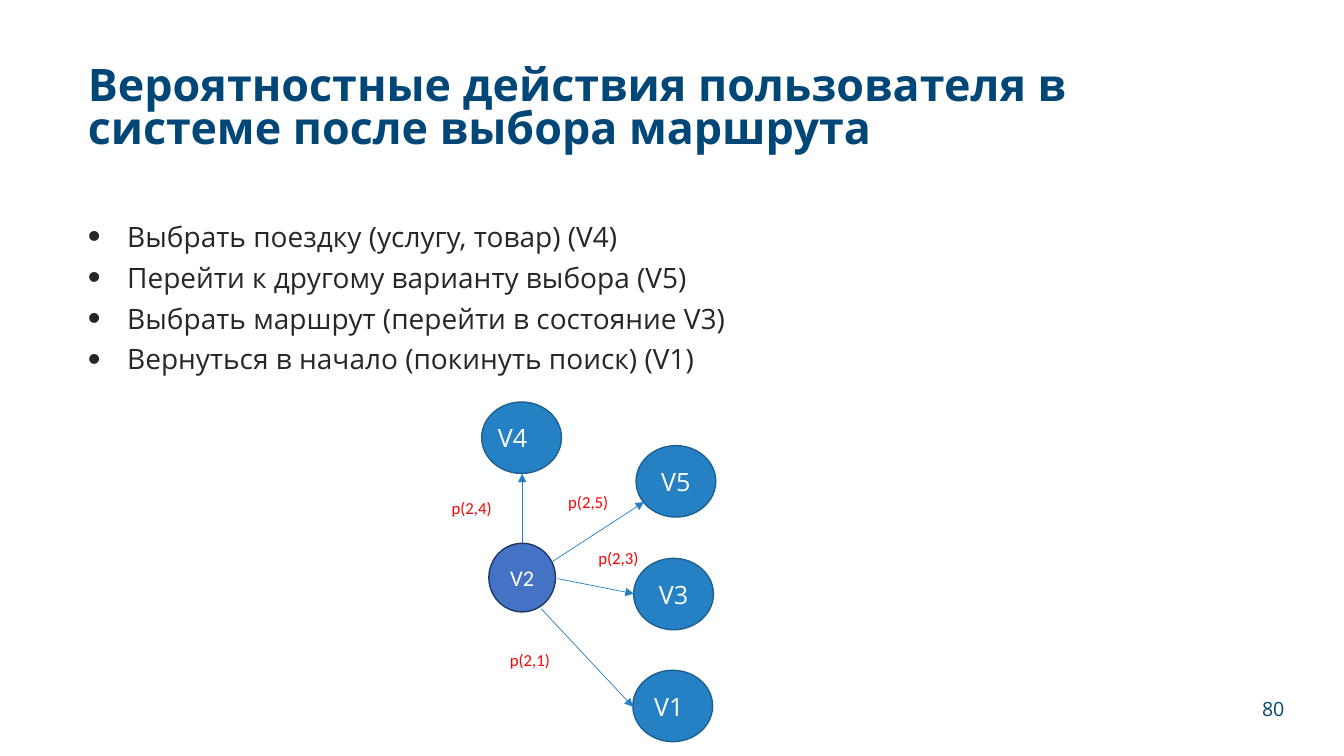
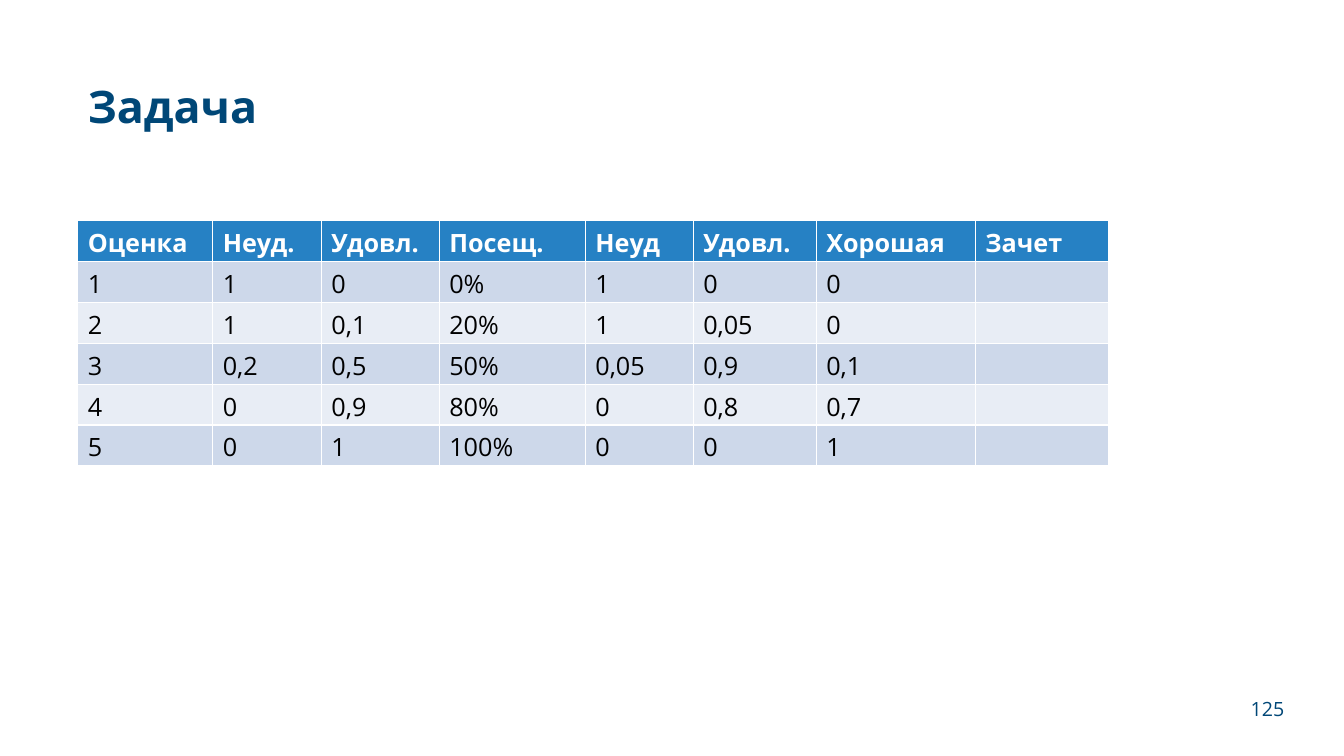
from lxml.etree import SubElement
from pptx import Presentation
from pptx.dml.color import RGBColor
from pptx.enum.shapes import MSO_CONNECTOR, MSO_SHAPE
from pptx.enum.text import MSO_ANCHOR, MSO_AUTO_SIZE, PP_ALIGN
from pptx.oxml.ns import qn
from pptx.util import Cm, Pt

NAVY, BLUE, DARK_BLUE = "004777", "2681C4", "1C5F91"
INDIGO, DARK_INDIGO = "4472C4", "1F3763"
WHITE, BLACK, GRAPHITE, RED = "FFFFFF", "000000", "262626", "FF0000"
BANDS = ("CDD8EA", "E8EDF5")
MAIN_FONT, GRAPH_FONT = "Open Sans", "Calibri"

TITLE_AREA = (1.96, 1.02, 26.01, 3.51)
BODY_AREA = (1.96, 5.56, 26.01, 11)
NUMBER_AREA = (30.61, 17.37, 2.01, 0.99)

ACTIONS = {
    "title": "Вероятностные действия пользователя в системе после выбора маршрута",
    "number": "80",
    "bullets": [
        "Выбрать поездку (услугу, товар) (V4)",
        "Перейти к другому варианту выбора (V5)",
        "Выбрать маршрут (перейти в состояние V3)",
        "Вернуться в начало (покинуть поиск) (V1)",
    ],
}
TARGET_SIZE = (2.01, 1.8)
# name, left, top, extra right inset of the name
TARGETS = [
    ("V4", 12.14, 10.13, 0.45),
    ("V5", 16.03, 11.23, 0),
    ("V3", 15.97, 14.07, 0),
    ("V1", 15.95, 16.89, 0.2),
]
START = ("V2", (12.32, 13.69, 1.68, 1.73))
LABEL_SIZE = (1.73, 0.66)
# label, its left and top, arrow start, arrow end
TRANSITIONS = [
    ("p(2,4)", (11.13, 12.42), (13.16, 13.69), (13.16, 11.94)),
    ("p(2,5)", (14.07, 12.27), (13.89, 14.17), (16.23, 12.65)),
    ("p(2,3)", (14.83, 13.69), (14.05, 14.58), (15.97, 14.96)),
    ("p(2,1)", (12.6, 16.26), (13.64, 15.34), (15.95, 17.81)),
]

TASK = {"title": "Задача", "number": "125"}
COLUMN_WIDTHS = [3.4, 2.74, 2.97, 3.68, 2.72, 3.1, 4.01, 3.35]
ROW_HEIGHT = 1.03
GRADES = [
    ("Оценка", "Неуд.", "Удовл.", "Посещ.", "Неуд", "Удовл.", "Хорошая", "Зачет"),
    ("1", "1", "0", "0%", "1", "0", "0", ""),
    ("2", "1", "0,1", "20%", "1", "0,05", "0", ""),
    ("3", "0,2", "0,5", "50%", "0,05", "0,9", "0,1", ""),
    ("4", "0", "0,9", "80%", "0", "0,8", "0,7", ""),
    ("5", "0", "1", "100%", "0", "0", "1", ""),
]


def color(value):
    return RGBColor.from_string(value)


def lengths(values):
    return [Cm(value) for value in values]


def place(shape, area):
    shape.left, shape.top, shape.width, shape.height = lengths(area)


def style(para, size, tint, font=MAIN_FONT, bold=False, align=PP_ALIGN.LEFT):
    para.alignment = align
    para.font.name, para.font.size, para.font.bold = font, Pt(size), bold
    para.font.color.rgb = color(tint)


def add_page(deck, layout, content):
    """Adds a slide with its title and page number."""
    page = deck.slides.add_slide(deck.slide_layouts.get_by_name(layout))
    title = page.shapes.title
    place(title, TITLE_AREA)
    title.text_frame.text = content["title"]
    title.text_frame.auto_size = MSO_AUTO_SIZE.NONE
    title.text_frame.vertical_anchor = MSO_ANCHOR.MIDDLE
    para = title.text_frame.paragraphs[0]
    para.line_spacing = 0.8
    style(para, 32, NAVY, bold=True)

    number = page.shapes.add_textbox(*lengths(NUMBER_AREA)).text_frame
    number.word_wrap = True
    number.vertical_anchor = MSO_ANCHOR.MIDDLE
    number.text = content["number"]
    style(number.paragraphs[0], 14, NAVY, align=PP_ALIGN.RIGHT)
    return page


def fill_bullets(body, items):
    place(body, BODY_AREA)
    frame = body.text_frame
    frame.auto_size = MSO_AUTO_SIZE.NONE
    frame.text = "\n".join(items)
    for index, para in enumerate(frame.paragraphs):
        para.line_spacing = 0.8
        para.space_before = Pt(10 if index else 0)
        properties = para._p.get_or_add_pPr()
        properties.set("marL", str(Cm(0.99)))
        properties.set("indent", str(-Cm(0.99)))
        SubElement(properties, qn("a:buSzPct"), val="130000")
        SubElement(properties, qn("a:buChar"), char="•")
        style(para, 20, GRAPHITE)


def add_shape(page, kind, area, fill, line, width, text):
    shape = page.shapes.add_shape(kind, *lengths(area))
    shape.shadow.inherit = False
    shape.fill.solid()
    shape.fill.fore_color.rgb = color(fill)
    shape.line.color.rgb = color(line)
    shape.line.width = Pt(width)
    shape.text_frame.text = text
    return shape.text_frame


def add_node(page, name, area, fill, line, size, font, right_inset=0):
    frame = add_shape(page, MSO_SHAPE.FLOWCHART_CONNECTOR, area, fill, line, 1, name)
    frame.margin_left = frame.margin_top = frame.margin_bottom = 0
    frame.margin_right = Cm(right_inset)
    style(frame.paragraphs[0], size, WHITE, font, align=PP_ALIGN.CENTER)


def add_label(page, text, corner):
    frame = add_shape(page, MSO_SHAPE.RECTANGLE, corner + LABEL_SIZE, WHITE, WHITE, 0.5, text)
    frame.vertical_anchor = MSO_ANCHOR.TOP
    style(frame.paragraphs[0], 12, RED, GRAPH_FONT)


def add_arrow(page, start, end):
    arrow = page.shapes.add_connector(MSO_CONNECTOR.STRAIGHT, *lengths(start + end))
    arrow.line.color.rgb = color(BLUE)
    arrow.line.width = Pt(0.5)
    SubElement(arrow.line._get_or_add_ln(), qn("a:tailEnd"), type="triangle")
    SubElement(arrow._element.spPr, qn("a:effectLst"))


def add_graph(page):
    for text, corner, _, _ in TRANSITIONS:
        add_label(page, text, corner)
    name, area = START
    add_node(page, name, area, INDIGO, DARK_INDIGO, 16, GRAPH_FONT)
    for name, left, top, inset in TARGETS:
        add_node(page, name, (left, top) + TARGET_SIZE, BLUE, DARK_BLUE, 18, MAIN_FONT, inset)
    for _, _, start, end in TRANSITIONS:
        add_arrow(page, start, end)


def add_grades(page):
    left, top = BODY_AREA[:2]
    area = (left, top, sum(COLUMN_WIDTHS), ROW_HEIGHT * len(GRADES))
    table = page.shapes.add_table(len(GRADES), len(COLUMN_WIDTHS), *lengths(area)).table
    for column, width in zip(table.columns, COLUMN_WIDTHS):
        column.width = Cm(width)
    for index, (row, values) in enumerate(zip(table.rows, GRADES)):
        row.height = Cm(ROW_HEIGHT)
        header = index == 0
        for cell, value in zip(row.cells, values):
            cell.text = value
            cell.fill.solid()
            cell.fill.fore_color.rgb = color(BLUE if header else BANDS[(index - 1) % 2])
            style(cell.text_frame.paragraphs[0], 18, WHITE if header else BLACK, bold=header)


def main():
    deck = Presentation()
    deck.slide_width, deck.slide_height = Cm(33.87), Cm(19.05)
    actions = add_page(deck, "Title and Content", ACTIONS)
    fill_bullets(actions.placeholders[1], ACTIONS["bullets"])
    add_graph(actions)
    add_grades(add_page(deck, "Title Only", TASK))
    deck.save("out.pptx")


if __name__ == "__main__":
    main()
